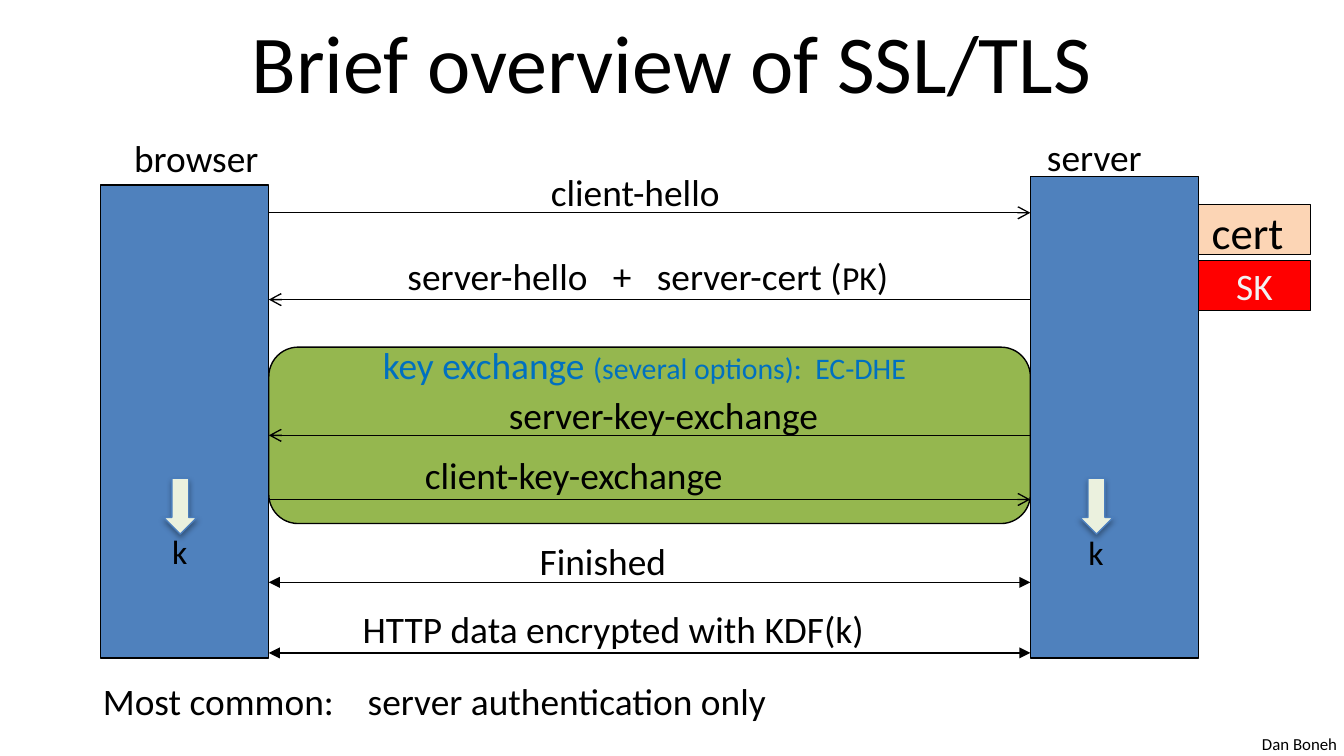
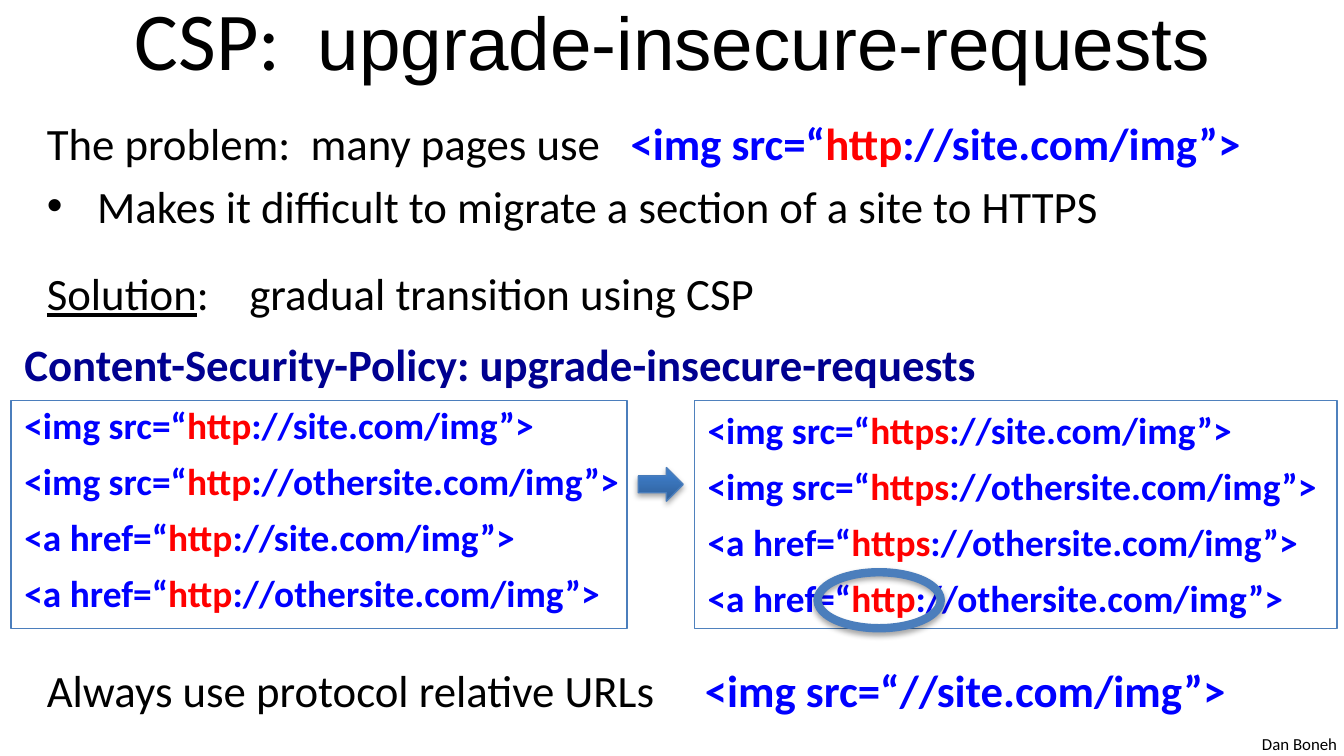
import pptx
import pptx.util
import pptx.dml.color
import pptx.enum.shapes
import pptx.enum.text
import pptx.oxml
import pptx.oxml.ns

Pt = pptx.util.Pt
SHAPE = pptx.enum.shapes.MSO_SHAPE
ALIGN = pptx.enum.text.PP_ALIGN
ANCHOR = pptx.enum.text.MSO_ANCHOR
FIT = pptx.enum.text.MSO_AUTO_SIZE

COLS, ROWS = 120, 67.5  # one cell is a twelfth of an inch
FONT = "Calibri"
COLORS = {
    "black": "000000", "blue": "4F81BD", "edge": "4B7EBC", "red": "FF0000",
    "peach": "FCD5B5", "green": "95B74F", "pale": "EBF1DE", "white": "F2F2F2",
    "sky": "0070C0", "code": "0000FF", "navy": "000090",
    "dark": "2F5F99", "light": "3D7CC7",
}


def cell(count):
    return pptx.util.Inches(round(count / 12, 4))


def area(place):
    return [cell(n) for n in place]


def rgb(name):
    return pptx.dml.color.RGBColor.from_string(COLORS[name])


def node(parent, tag, **attrs):
    child = pptx.oxml.parse_xml(f"<{tag} {pptx.oxml.ns.nsdecls('a')}/>")
    for key, value in attrs.items():
        child.set(key, str(value))
    parent.append(child)
    return child


def run(text, size=20, color="black", bold=False, under=False, font=FONT):
    return text, size, color, bold, under, font


def code(before, scheme, after, size=20):
    """Runs of a code line with its scheme in red."""
    return [run(before, size, "code", True), run(scheme, size, "red", True),
            run(after, size, "code", True)]


def write(frame, paras, gaps=(), align=ALIGN.LEFT):
    """Fill a frame with lists of runs; gaps are points before each paragraph."""
    for i, runs in enumerate(paras):
        para = frame.paragraphs[0] if i == 0 else frame.add_paragraph()
        para.alignment = align
        if i < len(gaps):
            para.space_before = Pt(gaps[i])
        for text, size, color, bold, under, font in runs:
            part = para.add_run()
            part.text = text
            part.font.size = Pt(size)
            part.font.name = font
            part.font.bold = bold
            part.font.underline = under
            part.font.color.rgb = rgb(color)


def label(slide, place, *paras, gaps=(), wrap=False, align=ALIGN.LEFT):
    box = slide.shapes.add_textbox(*area(place))
    box.text_frame.word_wrap = wrap
    box.text_frame.auto_size = FIT.NONE if wrap else FIT.SHAPE_TO_FIT_TEXT
    write(box.text_frame, paras, gaps, align)
    return box


def block(slide, kind, place, fill=None, edge="black", width=0.75, shade=False):
    shape = slide.shapes.add_shape(kind, *area(place))
    shape.shadow.inherit = False
    if fill:
        shape.fill.solid()
        shape.fill.fore_color.rgb = rgb(fill)
    else:
        shape.fill.background()
    shape.line.color.rgb = rgb(edge)
    shape.line.width = Pt(width)
    if shade:
        effects = shape._element.spPr.find(pptx.oxml.ns.qn("a:effectLst"))
        cast = node(effects, "a:outerShdw", blurRad=Pt(3.1), dist=Pt(1.8),
                    dir=5400000, rotWithShape=0)
        node(node(cast, "a:srgbClr", val=COLORS["black"]), "a:alpha", val=35000)
    return shape


def arrow(slide, start, end, row, head=None, tail="arrow"):
    line = slide.shapes.add_connector(
        pptx.enum.shapes.MSO_CONNECTOR.STRAIGHT,
        cell(start), cell(row), cell(end), cell(row))
    line.line.color.rgb = rgb("black")
    line.line.width = Pt(0.75)
    props = line._element.spPr
    stroke = props.get_or_add_ln()
    if head:
        node(stroke, "a:headEnd", type=head)
    node(stroke, "a:tailEnd", type=tail)
    node(props, "a:effectLst")
    return line


def page(deck, row, *title):
    """Blank slide with the shared footer and a centred title."""
    slide = deck.slides.add_slide(deck.slide_layouts[6])
    label(slide, (111.5, 64.9, 9.1, 3), [run("Dan Boneh", 9)])
    box = label(slide, (6, row, 108, 11.25), title, wrap=True, align=ALIGN.CENTER)
    box.text_frame.vertical_anchor = ANCHOR.MIDDLE
    return slide


def tls(deck):
    slide = page(deck, -0.25, run("Brief overview of SSL/TLS", 44))
    left, right, wide, high = 24, 92, 15, 5.25
    block(slide, SHAPE.RECTANGLE, (left - wide, 16.5, wide, 42.25), "blue")
    keys = block(slide, SHAPE.ROUNDED_RECTANGLE,
                 (left, 31, right - left, 15.75), "green")
    block(slide, SHAPE.RECTANGLE, (right, 15.75, wide, 43), "blue")

    side = right + wide
    cert = block(slide, SHAPE.RECTANGLE, (side, 18.25, 10, 4.5), "peach").text_frame
    cert.vertical_anchor = ANCHOR.TOP
    cert.margin_top = cert.margin_bottom = 0
    write(cert, [[run("cert", 24)]])
    secret = block(slide, SHAPE.RECTANGLE, (side, 23.25, 10, 4.5), "red")
    write(secret.text_frame, [[run("SK", 20, "white")]], align=ALIGN.CENTER)

    arrow(slide, left, right, 19)
    arrow(slide, right, left, 26.75)
    reply = arrow(slide, right, left, 38.8)
    reply.begin_connect(keys, 3)
    reply.end_connect(keys, 1)
    arrow(slide, left, right, 44.6)
    for row in (52, 58.3):
        arrow(slide, left, right, row, "triangle", "triangle")

    for col, row, width, text in (
            (10.8, 11.5, 13.7, "browser"),
            (92.3, 11.4, 11, "server"),
            (48, 14.5, 17.75, "client-hello"),
            (43.5, 34.4, 31.4, " server-key-exchange"),
            (36, 39.8, 31.3, " client-key-exchange"),
            (47, 47.5, 13.8, "Finished"),
            (31.2, 53.5, 47.6, "HTTP data encrypted with KDF(k)"),
            (8, 60, 62.3, "Most common:    server authentication only")):
        label(slide, (col, row, width, high), [run(text)])
    label(slide, (35.2, 22, 45.8, high),
          [run("server-hello   +   server-cert ("), run("PK", 18), run(")")])
    label(slide, (33, 30, 50, high),
          [run("key exchange ", 20, "sky"),
           run("(several options):  EC-DHE", 16, "sky")])
    for col, row in ((14.2, 46.8), (96, 46.95)):
        label(slide, (col, row, 3.8, 4.8), [run("k", 18)])
        block(slide, SHAPE.DOWN_ARROW, (col + 0.4, 42.7, 3, 5), "pale", "edge",
              shade=True)


def csp(deck):
    slide = page(deck, -2.25, run("CSP:  ", 44),
                 run("upgrade-insecure-requests", 40, font="Arial"))
    img, link = "<img src=“", "<a href=“"
    site, other = "://site.com/img”>", "://othersite.com/img”>"
    body = label(
        slide, (3, 9.75, 115, 57.75),
        [run("The problem:  many pages use   ", 24)] + code(img, "http", site, 24),
        [run("Makes it difficult to migrate a section of a site to HTTPS", 24)],
        [run("Solution", 24, under=True),
         run(":    gradient transition using CSP".replace("gradient", "gradual"), 24)],
        [run("Always use protocol relative URLs     ", 24),
         run("<img src=“//site.com/img”>", 24, "code", True)],
        gaps=(4.8, 4.8, 17.8, 184), wrap=True)
    props = body.text_frame.paragraphs[1]._p.get_or_add_pPr()
    props.set("marL", "342900")
    props.set("indent", "-342900")
    node(props, "a:buFont", typeface="Arial")
    node(props, "a:buChar", char="•")

    top, high = 35.75, 20.4
    after = block(slide, SHAPE.RECTANGLE, (62, top, 57.4, high), edge="blue")
    frame = after.text_frame
    frame.word_wrap = False
    frame.vertical_anchor = ANCHOR.TOP
    write(frame, [code(img, "https", site), code(img, "https", other),
                  code(link, "https", other), code(link, "http", other)],
          (0, 6, 6, 6))
    label(slide, (1, 29.5, 88.8, 26.3),
          [run("Content-Security-Policy: upgrade-insecure-requests",
               24, "navy", True)],
          *[code(tag, "http", host) for tag in (img, link) for host in (site, other)],
          gaps=(0, 6, 6, 6, 6))
    block(slide, SHAPE.RECTANGLE, (1, top, 55, high), edge="edge")
    step = block(slide, SHAPE.RIGHT_ARROW, (57, 41.75, 4, 3), edge="edge", shade=True)
    step.fill.gradient()
    step.fill.gradient_angle = 90
    for stop, color, spot in zip(step.fill.gradient_stops, ("dark", "light"), (0, 0.8)):
        stop.color.rgb = rgb(color)
        stop.position = spot
    block(slide, SHAPE.OVAL, (73, 51.1, 11, 5), edge="edge", width=4.5, shade=True)


def main():
    deck = pptx.Presentation()
    deck.slide_width, deck.slide_height = cell(COLS), cell(ROWS)
    tls(deck)
    csp(deck)
    deck.save("out.pptx")


if __name__ == "__main__":
    main()
